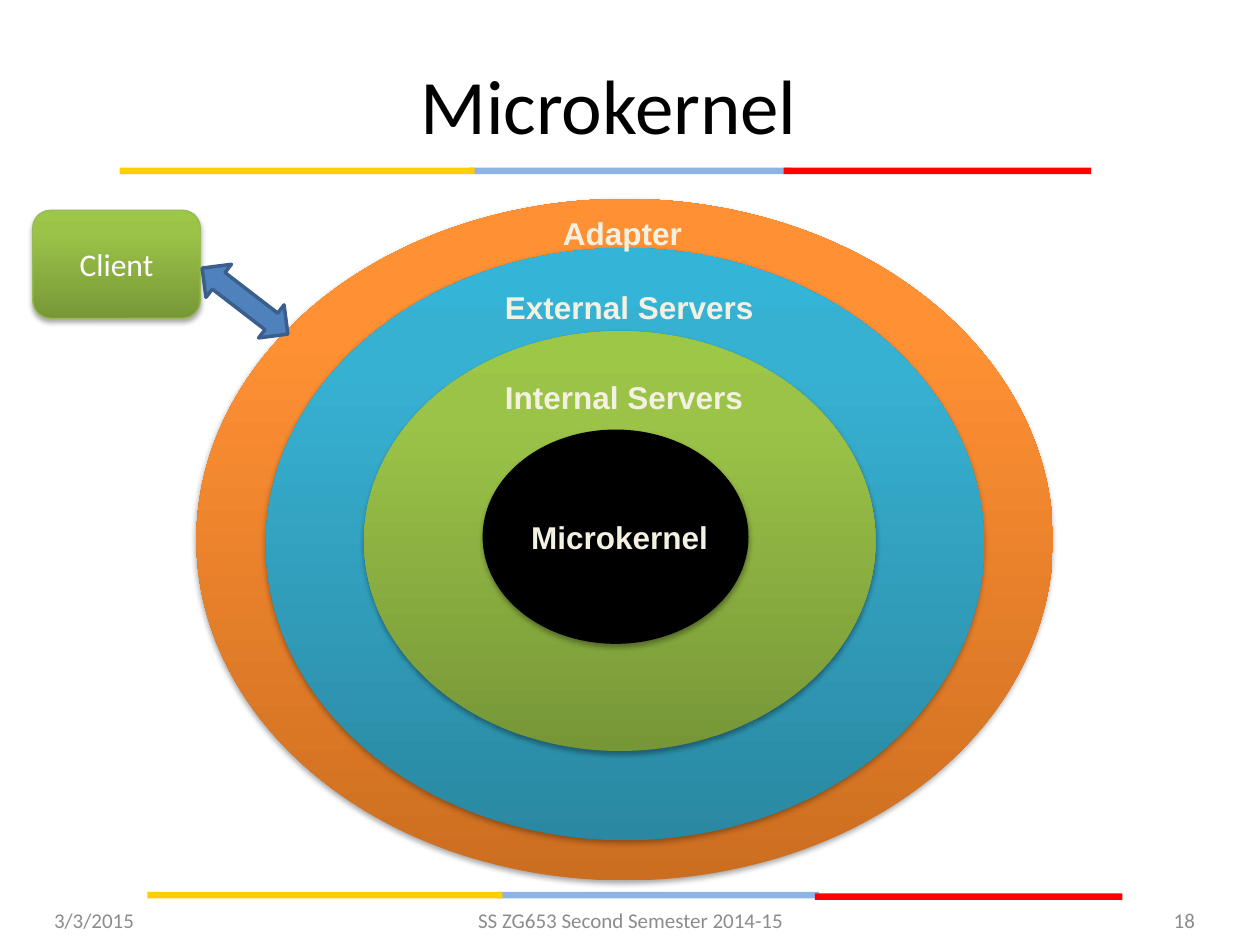
"""Build a slide showing the layers of the microkernel pattern."""
from copy import deepcopy

from lxml import etree
from pptx import Presentation
from pptx.dml.color import RGBColor
from pptx.enum.shapes import MSO_SHAPE
from pptx.enum.text import MSO_ANCHOR, MSO_AUTO_SIZE, PP_ALIGN
from pptx.oxml.ns import qn
from pptx.util import Cm, Pt

RECT, ROUND = MSO_SHAPE.RECTANGLE, MSO_SHAPE.ROUNDED_RECTANGLE
OVAL, ARROW = MSO_SHAPE.OVAL, MSO_SHAPE.UP_DOWN_ARROW
LEFT, MID, RIGHT = PP_ALIGN.LEFT, PP_ALIGN.CENTER, PP_ALIGN.RIGHT
CENTER = MSO_ANCHOR.MIDDLE
GROW = MSO_AUTO_SIZE.SHAPE_TO_FIT_TEXT

HUES = {
    "gold": "FFCE00", "sky": "8EB4E3", "red": "FF0000",
    "black": "000000", "white": "FFFFFF", "cream": "F4F1E3",
    "gray": "8C8C8C", "blue": "4F81BD", "navy": "3A5F8C", "lime": "98B955",
}
BLENDS = {
    "orange": ("CC6E20", "FF9034", "FF9136"),
    "teal": ("2A88A2", "37B1D2", "34B4D6"),
    "green": ("779737", "9BC348", "9DC746"),
}


class Board:
    """Holds the slide and draws styled elements on it."""

    def __init__(self, slide):
        self.slide = slide

    def letter(self, frame, text, size, hue, align, font="Calibri", bold=False):
        """Put one styled line into a text frame."""
        frame.text = text
        line = frame.paragraphs[0]
        line.alignment = align
        face = line.runs[0].font
        face.name, face.size, face.bold = font, Pt(size), bold
        face.color.rgb = RGBColor.from_string(HUES[hue])

    def title(self, text, box):
        """Fill and place the title."""
        head = self.slide.shapes.title
        head.left, head.top, head.width, head.height = map(Cm, box)
        head.text_frame.vertical_anchor = CENTER
        self.letter(head.text_frame, text, 44, "black", MID)

    def shape(self, kind, box, fill, edge=None, width=0.75):
        """Draw a preset shape with a plain or blended fill."""
        item = self.slide.shapes.add_shape(kind, *map(Cm, box))
        item.shadow.inherit = False
        if fill in BLENDS:
            self.blend(item, BLENDS[fill])
        else:
            item.fill.solid()
            item.fill.fore_color.rgb = RGBColor.from_string(HUES[fill])
        if edge:
            item.line.color.rgb = RGBColor.from_string(HUES[edge])
            item.line.width = Pt(width)
        else:
            item.line.fill.background()
        return item

    def blend(self, item, tones):
        """Set a three-stop gradient that runs upward."""
        fill = item.fill
        fill.gradient()
        fill.gradient_angle = 90
        stops = item._element.spPr.find(".//" + qn("a:gsLst"))
        stops.append(deepcopy(stops[0]))
        for stop, place, tone in zip(fill.gradient_stops, (0, 0.8, 1), tones):
            stop.position = place
            stop.color.rgb = RGBColor.from_string(tone)

    def raised(self, *args):
        """Draw a shape with a soft shadow below it."""
        item = self.shape(*args)
        effects = item._element.spPr.find(qn("a:effectLst"))
        shade = etree.SubElement(
            effects, qn("a:outerShdw"), blurRad="40000", dist="23000",
            dir="5400000", rotWithShape="0")
        tone = etree.SubElement(shade, qn("a:srgbClr"), val=HUES["black"])
        etree.SubElement(tone, qn("a:alpha"), val="35000")
        return item

    def label(self, text, x, y, width):
        """Add a bold ring label."""
        box = self.slide.shapes.add_textbox(*map(Cm, (x, y, width, 0.86)))
        box.text_frame.word_wrap = False
        box.text_frame.auto_size = GROW
        self.letter(box.text_frame, text, 18, "cream", LEFT, "Arial", True)

    def note(self, text, x, width, align):
        """Add a footer text."""
        box = self.slide.shapes.add_textbox(*map(Cm, (x, 18.03, width, 1.02)))
        box.text_frame.word_wrap = True
        box.text_frame.vertical_anchor = CENTER
        self.letter(box.text_frame, text, 12, "gray", align)


def main():
    """Draw the slide and save it."""
    deck = Presentation()
    deck.slide_width, deck.slide_height = Cm(25.4), Cm(19.05)
    board = Board(deck.slides.add_slide(deck.slide_layouts[5]))

    bars = (("sky", 6.48), ("red", 6.2), ("gold", 7.16))
    rules = (((9.47, 3.38), (15.8, 3.38), (2.41, 3.38)),
             ((10.03, 17.98), (16.43, 18.01), (2.97, 17.98)))
    for spots in rules:
        for (hue, width), (x, y) in zip(bars, spots):
            board.shape(RECT, (x, y, width, 0.13), hue)

    board.title("Microkernel", (0.84, 0.79, 22.86, 2.62))
    client = board.raised(ROUND, (0.66, 4.24, 3.38, 2.18), "green", "lime")
    client.text_frame.vertical_anchor = CENTER
    board.letter(client.text_frame, "Client", 18, "white", MID)

    rings = (
        ("orange", (3.96, 4.01, 17.27, 13.74)),
        ("teal", (5.36, 5, 14.48, 11.94)),
        ("green", (7.34, 6.68, 10.31, 8.46)),
        ("black", (9.73, 8.66, 5.36, 4.32)),
    )
    for hue, box in rings:
        board.raised(OVAL, box, hue)

    labels = (
        ("External Servers", 9.93, 5.69, 5.56),
        ("Internal Servers", 9.93, 7.49, 5.36),
        ("Microkernel", 10.46, 10.31, 4.11),
        ("Adapter", 11.1, 4.19, 2.95),
    )
    for label in labels:
        board.label(*label)

    arrow = board.shape(ARROW, (4.52, 4.98, 0.84, 2.18), "blue", "navy", 2)
    arrow.rotation = 307.6

    board.note("3/3/2015", 0.84, 5.92, LEFT)
    board.note("SS ZG653 Second Semester 2014-15", 8.69, 8.05, MID)
    board.note("18", 18.42, 5.92, RIGHT)
    deck.save("out.pptx")


if __name__ == "__main__":
    main()
